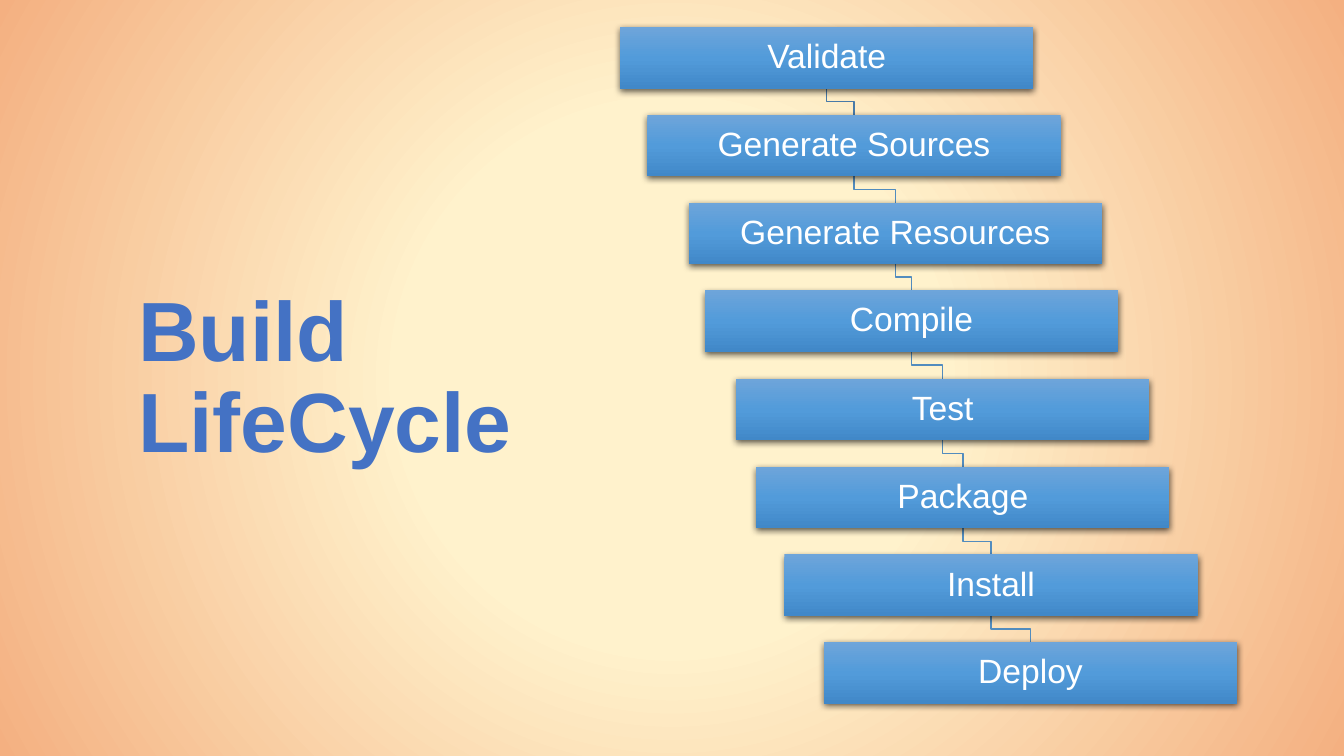
import pptx
import pptx.dml.color
import pptx.enum.shapes
import pptx.enum.text
import pptx.oxml
import pptx.oxml.ns
import pptx.util

RGB = pptx.dml.color.RGBColor
TITLE_BLUE = RGB(0x44, 0x72, 0xC4)
WHITE = RGB(0xFF, 0xFF, 0xFF)
LINK = RGB(0x52, 0x8C, 0xBE)
LINK_FIRST = RGB(0x48, 0x7A, 0xA8)
BLACK = RGB(0, 0, 0)
BOX_STOPS = [(0, RGB(0x6E, 0xA5, 0xDA)), (50, RGB(0x52, 0x9B, 0xDA)), (100, RGB(0x41, 0x88, 0xC8))]
BACK_STOPS = [(0, RGB(0xFF, 0xF2, 0xCC)), (35, RGB(0xFF, 0xF2, 0xCC)), (100, RGB(0xF4, 0xB0, 0x81))]
LINEAR = '<a:lin ang="5400000" scaled="0"/>'
RADIAL = '<a:path path="circle"><a:fillToRect l="50000" t="50000" r="50000" b="50000"/></a:path>'

PX = 9144  # 100 px to the inch
W, H = 1333, 750

# Phases with the left edge of their boxes
PHASES = [("Validate", 615), ("Generate Sources", 642), ("Generate Resources", 683),
          ("Compile", 699), ("Test", 730), ("Package", 750), ("Install", 778), ("Deploy", 817)]
BOX_W, BOX_H = 410, 61
FIRST_TOP, LAST_TOP = 27, 637


class Deck:
    font = "Arial"
    spacing = 0.9

    def __init__(self, prs):
        self.s = prs.slides.add_slide(prs.slide_layouts[5])

    def gradient(self, fill, parent, stops, direction):
        """Swap a solid fill for a gradient with any number of stops."""
        fill.solid()
        gs = "".join(f'<a:gs pos="{pos * 1000}"><a:srgbClr val="{c}"/></a:gs>' for pos, c in stops)
        xml = (f'<a:gradFill {pptx.oxml.ns.nsdecls("a")} rotWithShape="1">'
               f'<a:gsLst>{gs}</a:gsLst>{direction}</a:gradFill>')
        parent.replace(parent.find(pptx.oxml.ns.qn("a:solidFill")), pptx.oxml.parse_xml(xml))

    def background(self, stops):
        fill = self.s.background.fill
        fill.solid()
        bg = self.s.element.find(".//" + pptx.oxml.ns.qn("p:bgPr"))
        self.gradient(fill, bg, stops, RADIAL)

    def text(self, sp, words, align, margins, **font):
        tf = sp.text_frame
        frame = {"word_wrap": True, "auto_size": pptx.enum.text.MSO_AUTO_SIZE.NONE,
                 "vertical_anchor": pptx.enum.text.MSO_ANCHOR.MIDDLE}
        for side, px in zip(("left", "top", "right", "bottom"), margins):
            frame["margin_" + side] = px * PX
        for name, value in frame.items():
            setattr(tf, name, value)
        p = tf.paragraphs[0]
        p.text = words
        p.alignment = align
        p.line_spacing = self.spacing
        color = font.pop("color")
        for r in p.runs:
            r.font.name = self.font
            r.font.color.rgb = color
            for name, value in font.items():
                setattr(r.font, name, value)

    def title(self, words, x, y, w, h):
        sp = self.s.shapes.title
        for name, px in {"left": x, "top": y, "width": w, "height": h}.items():
            setattr(sp, name, px * PX)
        self.text(sp, words, pptx.enum.text.PP_ALIGN.LEFT, (10, 5, 10, 5),
                  size=pptx.util.Pt(60), bold=True, color=TITLE_BLUE)

    def box(self, words, x, y, w, h):
        sp = self.s.shapes.add_shape(pptx.enum.shapes.MSO_SHAPE.RECTANGLE,
                                     x * PX, y * PX, w * PX, h * PX)
        self.gradient(sp.fill, sp.element.spPr, BOX_STOPS, LINEAR)
        sp.line.fill.background()
        sp.shadow.inherit = False
        sp.element.spPr.find(pptx.oxml.ns.qn("a:effectLst")).append(pptx.oxml.parse_xml(
            f'<a:outerShdw {pptx.oxml.ns.nsdecls("a")} blurRad="57150" dist="19050" dir="5400000" '
            f'algn="ctr" rotWithShape="0"><a:srgbClr val="{BLACK}"><a:alpha val="63000"/>'
            '</a:srgbClr></a:outerShdw>'))
        self.text(sp, words, pptx.enum.text.PP_ALIGN.CENTER, (2, 2, 2, 2),
                  size=pptx.util.Pt(24), color=WHITE)

    def elbow(self, x1, y1, x2, y2, color):
        mid = (y1 + y2) / 2
        fb = self.s.shapes.build_freeform(x1, y1, scale=PX)
        fb.add_line_segments([(x1, mid), (x2, mid), (x2, y2)], close=False)
        sp = fb.convert_to_shape()
        sp.fill.background()
        sp.shadow.inherit = False
        sp.line.color.rgb = color
        sp.line.width = pptx.util.Pt(1)


def main():
    prs = pptx.Presentation()
    prs.slide_width, prs.slide_height = W * PX, H * PX
    deck = Deck(prs)
    deck.background(BACK_STOPS)
    deck.title("Build\vLifeCycle", 127, 236, 512, 281)

    # Evenly spaced rows of the staircase
    last = len(PHASES) - 1
    tops = [FIRST_TOP + round((LAST_TOP - FIRST_TOP) * i / last) for i in range(last + 1)]
    centers = [x + BOX_W // 2 for _, x in PHASES]

    # Links lie behind the boxes
    for i in reversed(range(last)):
        deck.elbow(centers[i], tops[i] + BOX_H, centers[i + 1], tops[i + 1],
                   LINK if i else LINK_FIRST)
    for (name, x), y in zip(PHASES, tops):
        deck.box(name, x, y, BOX_W, BOX_H)

    prs.save("out.pptx")


if __name__ == "__main__":
    main()
